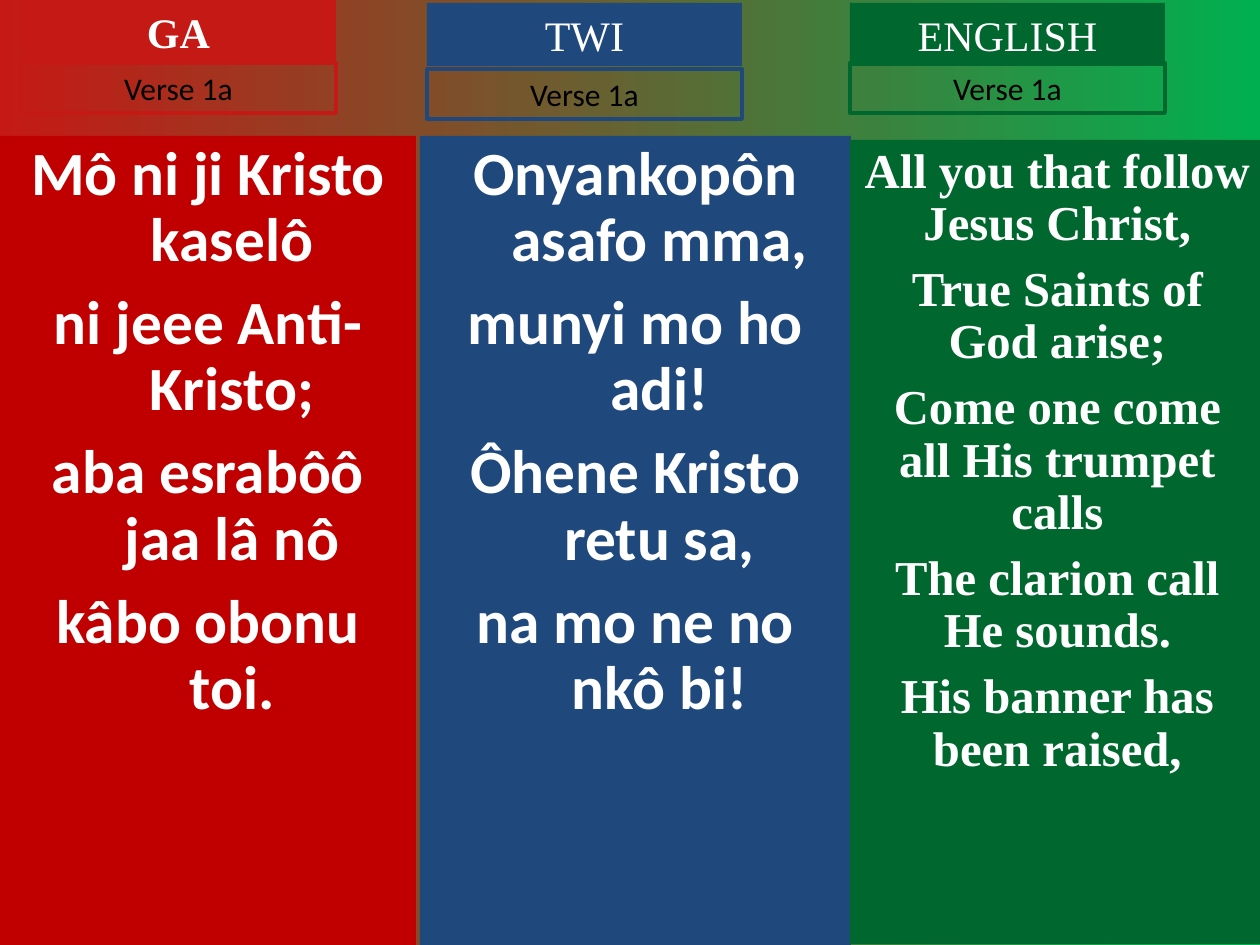
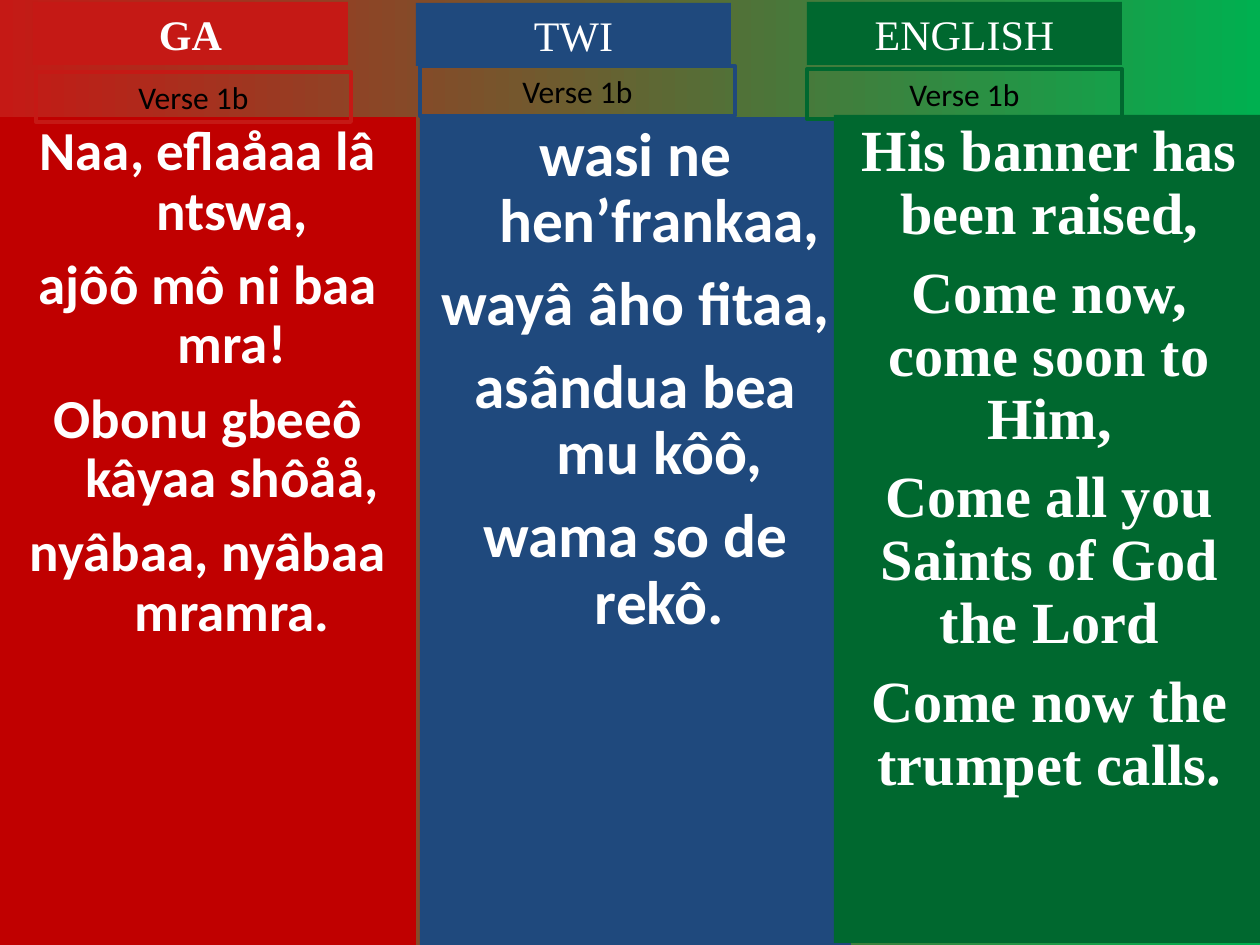
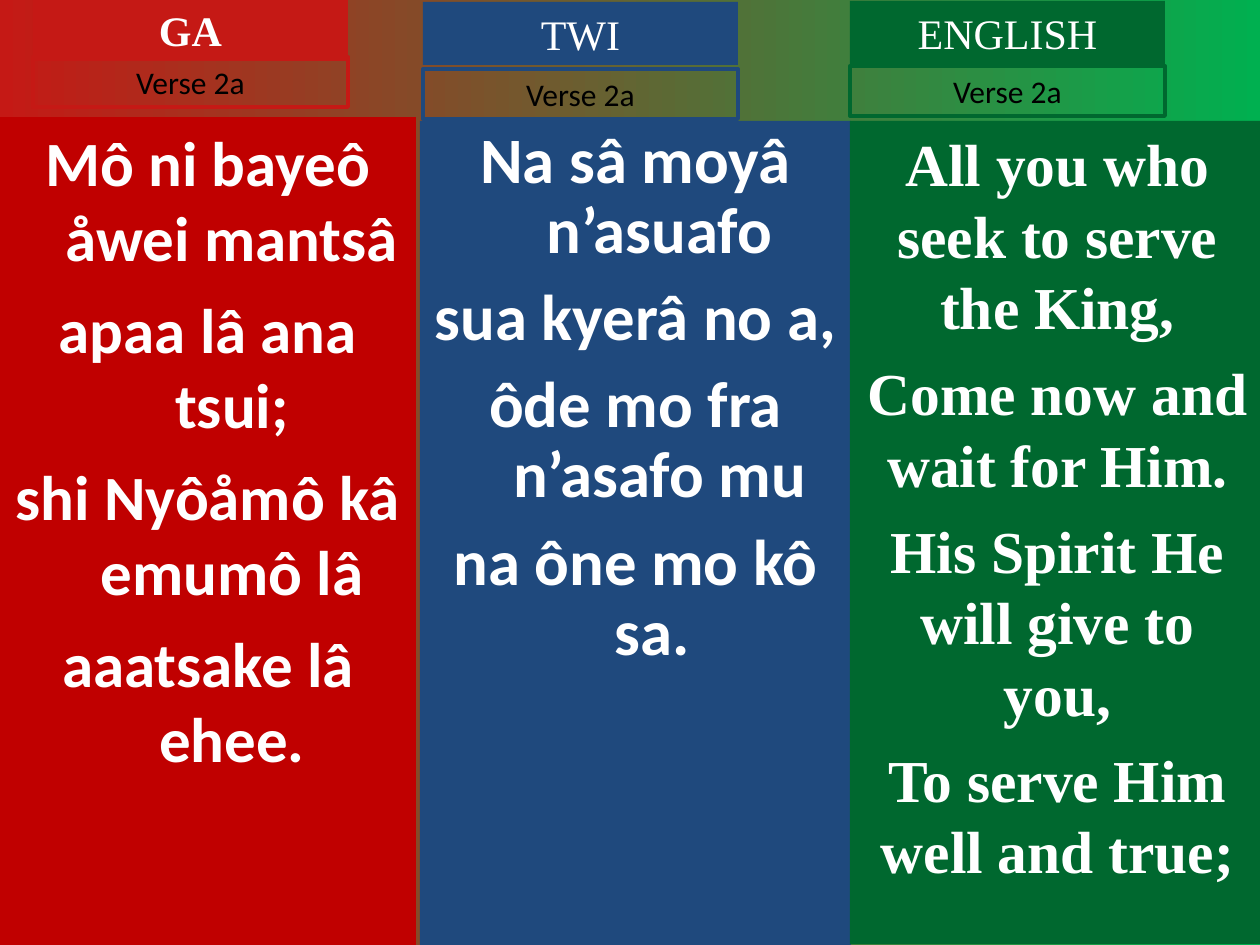
from pptx import Presentation, util as u
from pptx.dml import color
from pptx.enum import shapes, text

PX = 914400 / 126
COLORS = {
    "start": "C51915", "end": "00B050", "white": "FFFFFF", "black": "000000",
    "ga": "C00000", "ga_title": "C51915", "twi": "1F497D", "english": "00682F",
}
SANS, SERIF = "Calibri", "Times New Roman"
TITLE_WIDTH, TITLE_HEIGHT, VERSE_HEIGHT = 315, 63, 50
HANGING = 48

LANGUAGES = [
    dict(title="GA", panel="ga", accent="ga_title", title_bold=True, font=SANS, indent=HANGING),
    dict(title="TWI", panel="twi", accent="twi", title_bold=False, font=SANS, indent=HANGING),
    dict(title="ENGLISH", panel="english", accent="english", title_bold=False, font=SERIF, indent=0),
]

PAGES = [
    ("Verse 1a", [
        dict(panel=(0, 136, 416, 809), title=(21, 0), verse=(21, 63), size=35.1, leading=0.9, gap=9.5,
             lines=["Mô ni ji Kristo kaselô", "ni jeee Anti-Kristo;",
                    "aba esrabôô jaa lâ nô", "kâbo obonu toi."]),
        dict(panel=(420, 136, 431, 809), title=(427, 3), verse=(427, 69), size=35.1, leading=0.9, gap=9.5,
             lines=["Onyankopôn asafo mma,", "munyi mo ho adi!",
                    "Ôhene Kristo retu sa,", "na mo ne no nkô bi!"]),
        dict(panel=(850, 140, 415, 804), title=(850, 3), verse=(850, 63), size=27.8, leading=0.9, gap=7.5,
             lines=["All you that follow Jesus Christ,", "True Saints of God arise;",
                    "Come one come all His trumpet calls", "The clarion call He sounds.",
                    "His banner has been raised,"]),
    ]),
    ("Verse 1b", [
        dict(panel=(0, 117, 416, 828), title=(33, 2), verse=(36, 72), size=31.4, leading=0.9, gap=8.5,
             lines=["Naa, eflaåaa lâ ntswa,", "ajôô mô ni baa mra!",
                    "Obonu gbeeô kâyaa shôåå,", "nyâbaa, nyâbaa mramra."]),
        dict(panel=(420, 117, 431, 828), title=(416, 3), verse=(420, 66), size=35.1, leading=0.9, gap=9.5,
             lines=["wasi ne hen’frankaa,", "wayâ âho fitaa,",
                    "asândua bea mu kôô,", "wama so de rekô."]),
        dict(panel=(834, 115, 431, 828), title=(807, 2), verse=(807, 69), size=33.3, leading=0.9, gap=9,
             lines=["His banner has been raised,", "Come now, come soon to Him,",
                    "Come all you Saints of God the Lord", "Come now the trumpet calls."]),
    ]),
    ("Verse 2a", [
        dict(panel=(0, 117, 416, 828), title=(33, -2), verse=(33, 57), size=36, leading=1, gap=9,
             lines=["Mô ni bayeô åwei mantsâ", "apaa lâ ana tsui;",
                    "shi Nyôåmô kâ emumô lâ", "aaatsake lâ ehee."]),
        dict(panel=(420, 121, 431, 824), title=(423, 2), verse=(423, 69), size=37, leading=0.9, gap=10,
             lines=["Na sâ moyâ n’asuafo", "sua kyerâ no a,",
                    "ôde mo fra n’asafo mu", "na ône mo kô sa. "]),
        dict(panel=(850, 121, 415, 823), title=(850, 1), verse=(850, 66), size=34, leading=1, gap=8.5,
             lines=["All you who seek to serve the King,", "Come now and wait for Him.",
                    "His Spirit He will give to you,", "To serve Him well and true;"]),
    ]),
]


def rgb(name):
    return color.RGBColor.from_string(COLORS[name])


def add_box(page, place, lines, font, size, ink="white", fill=None, line=None,
            bold=False, leading=1, gap=0, indent=0):
    box = page.shapes.add_shape(shapes.MSO_SHAPE.RECTANGLE, *[round(n * PX) for n in place])
    box.shadow.inherit = False
    if fill:
        box.fill.solid()
        box.fill.fore_color.rgb = rgb(fill)
    else:
        box.fill.background()
    if line:
        box.line.color.rgb = rgb(line)
        box.line.width = u.Pt(2.25)
    else:
        box.line.fill.background()
    frame = box.text_frame
    frame.word_wrap = True
    frame.vertical_anchor = text.MSO_ANCHOR.TOP
    for index, words in enumerate(lines):
        para = frame.add_paragraph() if index else frame.paragraphs[0]
        para.text = words
        para.alignment = text.PP_ALIGN.CENTER
        para.line_spacing = leading
        para.space_before = u.Pt(gap if index else 0)
        if indent:
            props = para._p.get_or_add_pPr()
            props.set("marL", str(round(indent * PX)))
            props.set("indent", str(round(-indent * PX)))
        para.font.name = font
        para.font.size = u.Pt(size)
        para.font.bold = bold
        para.font.color.rgb = rgb(ink)


deck = Presentation()
deck.slide_width = round(1260 * PX)
deck.slide_height = round(945 * PX)

for verse, columns in PAGES:
    page = deck.slides.add_slide(deck.slide_layouts[6])
    backdrop = page.background.fill
    backdrop.gradient()
    backdrop.gradient_angle = 0
    for stop, name in zip(backdrop.gradient_stops, ("start", "end")):
        stop.color.rgb = rgb(name)
    for language, column in zip(LANGUAGES, columns):
        add_box(page, column["panel"], column["lines"], language["font"], column["size"],
                fill=language["panel"], bold=True, leading=column["leading"],
                gap=column["gap"], indent=language["indent"])
        add_box(page, (*column["title"], TITLE_WIDTH, TITLE_HEIGHT), [language["title"]], SERIF, 24,
                fill=language["accent"], bold=language["title_bold"])
        add_box(page, (*column["verse"], TITLE_WIDTH, VERSE_HEIGHT), [verse], SANS, 18,
                ink="black", line=language["accent"])

deck.save("out.pptx")
